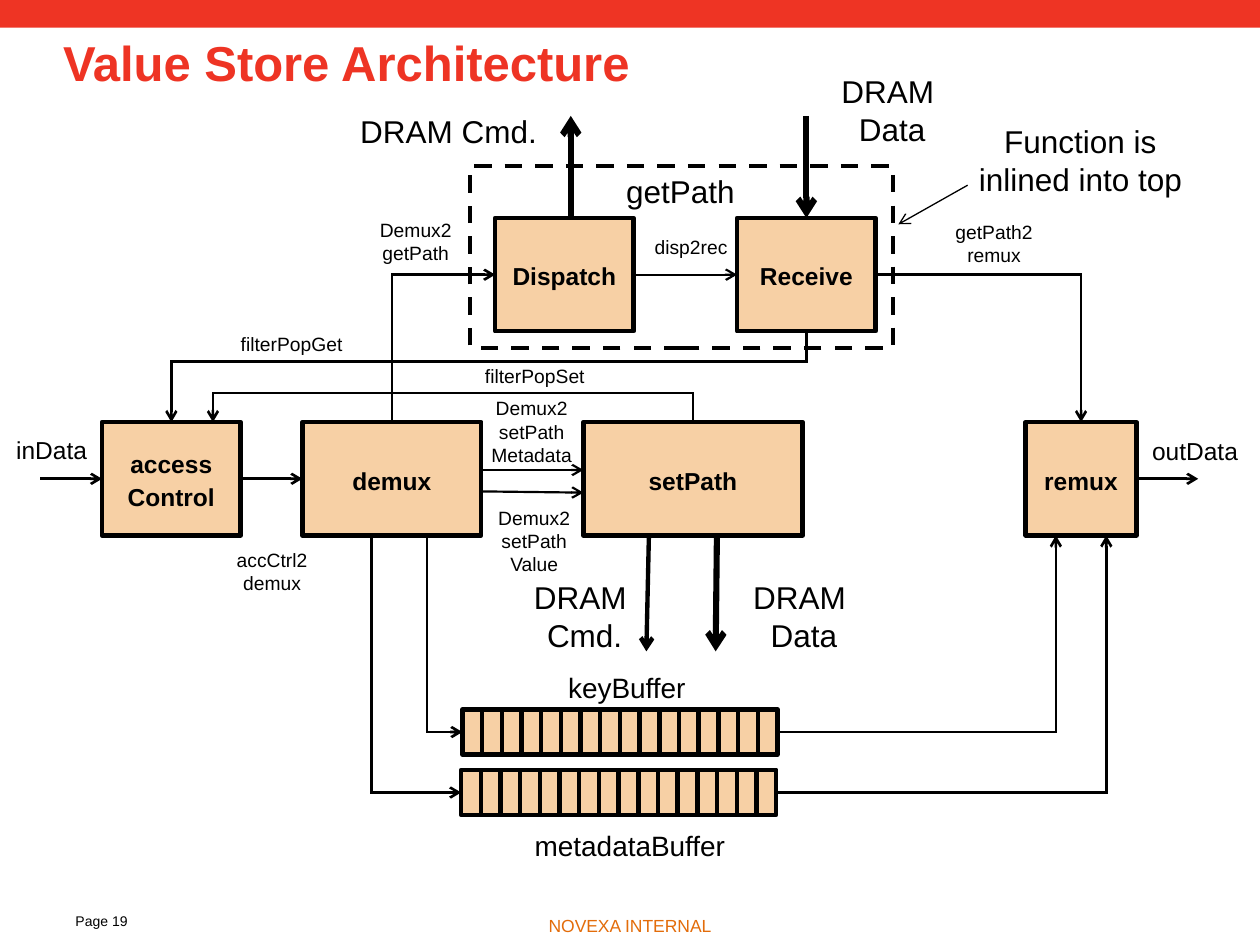
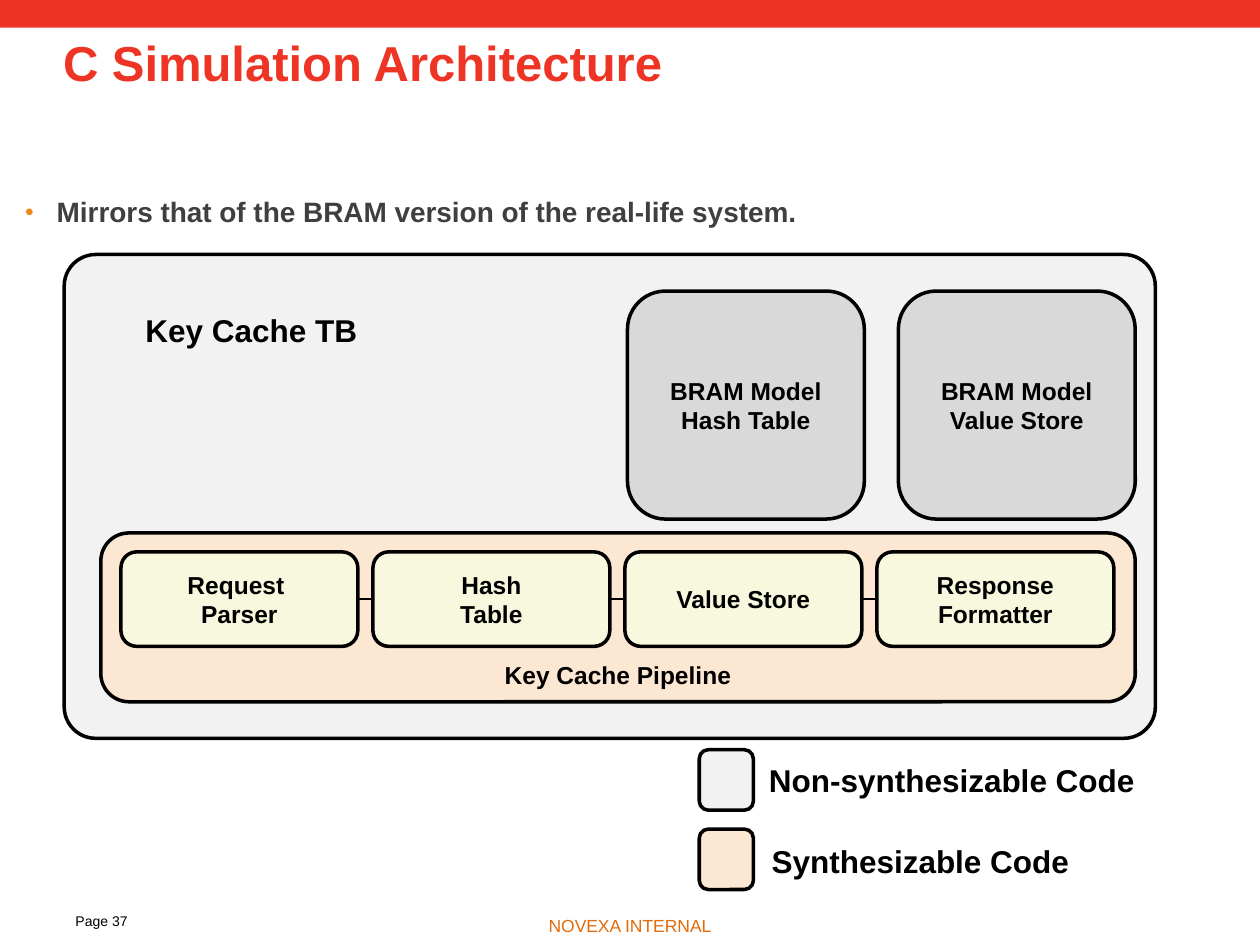
from dataclasses import dataclass
from itertools import pairwise
from typing import NamedTuple

from lxml.etree import SubElement
from pptx import Presentation
from pptx.dml.color import RGBColor
from pptx.enum.dml import MSO_LINE_DASH_STYLE as Dash
from pptx.enum.shapes import MSO_CONNECTOR as Conn, MSO_SHAPE as Geo
from pptx.enum.text import MSO_ANCHOR as Anchoring, MSO_AUTO_SIZE as AutoSize, PP_ALIGN as Align
from pptx.oxml.ns import qn
from pptx.util import Inches, Pt


@dataclass(frozen=True)
class Theme:
    font: str = "Arial"
    red: str = "EE3424"
    orange: str = "E36C0A"
    bullet: str = "EC891D"
    body: str = "3F3F3F"
    black: str = "000000"
    white: str = "FFFFFF"
    block: str = "F7D0A5"
    synthesizable: str = "FBE7D2"
    non_synthesizable: str = "F2F2F2"
    model: str = "D9D9D9"
    stage: str = "F7F8DD"
    title_size: int = 28
    large: int = 18
    medium: int = 16
    normal: int = 14
    small: int = 11
    footer_size: int = 10
    page_size: int = 8


THEME = Theme()
TOP, LEFT, BOTTOM, RIGHT = range(4)


class Area(NamedTuple):
    x: float
    y: float
    w: float
    h: float

    def emu(self) -> tuple:
        return tuple(Inches(v) for v in self)


class Box(NamedTuple):
    area: Area
    text: str = ""
    fill: str = THEME.block
    geo: int = Geo.RECTANGLE
    line: float = 2.5


class Label(NamedTuple):
    area: Area
    text: str
    size: int = THEME.small
    wrap: bool = True
    bold: bool = False


class Side(NamedTuple):
    """Middle of one side of a named shape."""
    name: str
    site: int


class Route(NamedTuple):
    """Points from start to end, each a Side or an (x, y) pair."""
    points: list
    width: float = 1.5
    arrow: bool = True


# ---- Drawing functions ----
def write(tf, text: str, size: float, color: str = THEME.black, bold: bool = False,
          align: int = Align.CENTER, spacing: float = 1.0, before: float = 0) -> None:
    for i, line in enumerate(text.split("\n")):
        p = tf.paragraphs[0] if i == 0 else tf.add_paragraph()
        p.alignment, p.line_spacing, p.space_before = align, spacing, Pt(before)
        r = p.add_run()
        r.text = line
        r.font.name, r.font.size, r.font.bold = THEME.font, Pt(size), bold
        r.font.color.rgb = RGBColor.from_string(color)


def add_box(slide, box: Box, spacing: float = 1.0, before: float = 0):
    s = slide.shapes.add_shape(box.geo, *box.area.emu())
    s.shadow.inherit = False
    s.fill.solid()
    s.fill.fore_color.rgb = RGBColor.from_string(box.fill)
    if box.line:
        s.line.color.rgb = RGBColor.from_string(THEME.black)
        s.line.width = Pt(box.line)
    else:
        s.line.fill.background()
    if box.text:
        s.text_frame.word_wrap = True
        s.text_frame.vertical_anchor = Anchoring.MIDDLE
        write(s.text_frame, box.text, THEME.normal, bold=True, spacing=spacing, before=before)
    return s


def add_label(slide, label: Label, color: str = THEME.black, align: int = Align.CENTER) -> None:
    tf = slide.shapes.add_textbox(*label.area.emu()).text_frame
    tf.word_wrap = label.wrap
    write(tf, label.text, label.size, color, label.bold, align)


def locate(point, named: dict) -> tuple:
    if not isinstance(point, Side):
        return Inches(point[0]), Inches(point[1])
    s = named[point.name]
    mid_x, mid_y = s.left + s.width // 2, s.top + s.height // 2
    return ((mid_x, s.top), (s.left, mid_y),
            (mid_x, s.top + s.height), (s.left + s.width, mid_y))[point.site]


def add_route(slide, route: Route, named: dict) -> None:
    legs = list(pairwise(route.points))
    for i, (start, end) in enumerate(legs):
        c = slide.shapes.add_connector(Conn.STRAIGHT, *locate(start, named), *locate(end, named))
        if isinstance(start, Side):
            c.begin_connect(named[start.name], start.site)
        if isinstance(end, Side):
            c.end_connect(named[end.name], end.site)
        c.line.color.rgb = RGBColor.from_string(THEME.black)
        c.line.width = Pt(route.width)
        sp_pr = c._element.spPr
        ln = sp_pr.find(qn("a:ln"))
        if len(legs) > 1:
            ln.set("cap", "sq")
        if route.arrow and i == len(legs) - 1:
            SubElement(ln, qn("a:tailEnd"), type="arrow")
        SubElement(sp_pr, qn("a:effectLst"))


def format_placeholder(sp, area: Area):
    sp.left, sp.top, sp.width, sp.height = area.emu()
    tf = sp.text_frame
    tf.margin_left, tf.margin_right = 0, Inches(0.1)
    tf.margin_top = tf.margin_bottom = Inches(0.05)
    tf.word_wrap, tf.auto_size = True, AutoSize.NONE
    tf.vertical_anchor = Anchoring.TOP
    return tf


def new_slide(prs, layout: int, title: str, page: int):
    """Slide with the shared band, title, footer and page number."""
    slide = prs.slides.add_slide(prs.slide_layouts[layout])
    add_box(slide, Box(Area(0, 0, 10, 0.22), fill=THEME.red, line=0))
    tf = format_placeholder(slide.shapes.title, Area(0.5, 0.23, 9, 0.65))
    write(tf, title, THEME.title_size, THEME.red, True, Align.LEFT, 0.98)
    add_label(slide, Label(Area(0, 7.21, 10, 0.32), "NOVEXA INTERNAL", THEME.footer_size),
              THEME.orange)
    add_label(slide, Label(Area(0.5, 7.19, 0.92, 0.27), f"Page {page}", THEME.page_size),
              align=Align.LEFT)
    return slide


# ---- Value Store Architecture ----
BLOCKS = {
    "access": Box(Area(0.81, 3.35, 1.1, 0.9), "access Control"),
    "demux": Box(Area(2.4, 3.35, 1.42, 0.9), "demux"),
    "setPath": Box(Area(4.63, 3.35, 1.74, 0.9), "setPath"),
    "remux": Box(Area(8.14, 3.35, 0.88, 0.9), "remux"),
    "dispatch": Box(Area(3.93, 1.73, 1.1, 0.9), "Dispatch"),
    "receive": Box(Area(5.85, 1.73, 1.1, 0.9), "Receive"),
}
BUFFERS = {"key": (3.67, 5.63), "metadata": (3.66, 6.11)}
BUFFER_WIDTH, BUFFER_HEIGHT, BUFFER_CELLS = 2.5, 0.36, 16

ROUTES = [
    # Main data flow
    Route([(0.32, 3.8), Side("access", LEFT)]),
    Route([Side("access", RIGHT), Side("demux", LEFT)]),
    Route([Side("demux", TOP), (3.11, 2.18), Side("dispatch", LEFT)]),
    Route([Side("dispatch", RIGHT), Side("receive", LEFT)], 1.25),
    Route([Side("receive", RIGHT), (8.58, 2.18), Side("remux", TOP)]),
    Route([Side("remux", RIGHT), (9.51, 3.8)]),
    Route([(3.82, 3.73), (4.63, 3.73)], 1.25),
    Route([(3.82, 3.9), (4.63, 3.91)], 1.25),
    # Feedback to access control
    Route([Side("receive", BOTTOM), (6.4, 2.87), (1.36, 2.87), Side("access", TOP)]),
    Route([Side("setPath", TOP), (5.5, 3.12), (1.69, 3.12), (1.69, 3.35)]),
    # Buffers
    Route([(3.39, 4.25), (3.39, 5.81), Side("key first", LEFT)]),
    Route([(2.95, 4.25), (2.95, 6.29), Side("metadata first", LEFT)]),
    Route([Side("key last", RIGHT), (8.38, 5.81), (8.38, 4.25)]),
    Route([Side("metadata last", RIGHT), (8.78, 6.29), (8.78, 4.25)]),
    # DRAM and callout
    Route([(4.53, 1.73), (4.53, 0.92)], 3.5),
    Route([(6.4, 0.92), Side("receive", TOP)], 3.5),
    Route([(5.15, 4.25), (5.13, 5.17)], 2.5),
    Route([(5.69, 4.25), (5.68, 5.17)], 3.5),
    Route([(7.68, 1.47), (7.13, 1.78)], 0.75),
]
LABELS = [
    Label(Area(2.72, 0.84, 1.68, 0.4), "DRAM Cmd.", THEME.large),
    Label(Area(6.57, 0.52, 1.02, 0.71), "DRAM \nData", THEME.large, False),
    Label(Area(5.87, 4.54, 1.02, 0.71), "DRAM \nData", THEME.large, False),
    Label(Area(4.13, 4.54, 1.02, 0.71), "DRAM \nCmd.", THEME.large, False),
    Label(Area(4.76, 1.32, 1.28, 0.4), "getPath", THEME.large),
    Label(Area(7.66, 0.92, 1.83, 0.71), "Function is inlined into top", THEME.large),
    Label(Area(4.4, 5.27, 1.15, 0.37), "keyBuffer", THEME.medium, False),
    Label(Area(4.13, 6.53, 1.74, 0.37), "metadataBuffer", THEME.medium, False),
    Label(Area(0, 3.4, 0.82, 0.34), "inData", THEME.normal),
    Label(Area(8.93, 3.41, 1.11, 0.34), "outData", THEME.normal),
    Label(Area(1.74, 4.3, 0.84, 0.47), "accCtrl2demux"),
    Label(Area(3.69, 2.84, 1.11, 0.29), "filterPopSet"),
    Label(Area(1.76, 2.59, 1.11, 0.29), "filterPopGet"),
    Label(Area(3.8, 3.1, 0.84, 0.66), "Demux2\nsetPath\nMetadata"),
    Label(Area(3.82, 3.97, 0.84, 0.66), "Demux2\nsetPath\nValue"),
    Label(Area(2.88, 1.68, 0.84, 0.47), "Demux2\ngetPath"),
    Label(Area(7.47, 1.7, 0.84, 0.47), "getPath2remux"),
    Label(Area(4.93, 1.82, 1.11, 0.29), "disp2rec"),
]


def build_value_store(prs) -> None:
    slide = new_slide(prs, 5, "Value Store Architecture", 19)
    outline = add_box(slide, Box(Area(3.73, 1.32, 3.36, 1.44), fill=THEME.white))
    outline.line.dash_style = Dash.DASH
    named = {name: add_box(slide, box, 1.1, 2.8) for name, box in BLOCKS.items()}
    pitch = BUFFER_WIDTH / BUFFER_CELLS
    for name, (x, y) in BUFFERS.items():
        cells = [add_box(slide, Box(Area(x + i * pitch, y, pitch, BUFFER_HEIGHT)))
                 for i in range(BUFFER_CELLS)]
        named[f"{name} first"], named[f"{name} last"] = cells[0], cells[-1]
    for route in ROUTES:
        add_route(slide, route, named)
    for label in LABELS:
        add_label(slide, label)


# ---- C Simulation Architecture ----
STAGES = ["Request \nParser", "Hash\nTable", "Value Store", "Response Formatter"]
MODELS = {4.98: "BRAM Model Hash Table", 7.13: "BRAM Model Value Store"}
LEGEND = {5.95: THEME.non_synthesizable, 6.58: THEME.synthesizable}
SIMULATION_LABELS = [
    Label(Area(0.97, 2.42, 2.05, 0.4), "Key Cache TB", THEME.large, False, True),
    Label(Area(3.84, 5.19, 2.13, 0.34), "Key Cache Pipeline", THEME.normal, False, True),
    Label(Area(5.99, 5.99, 3.13, 0.4), "Non-synthesizable Code", THEME.large, False, True),
    Label(Area(6.01, 6.63, 2.59, 0.4), "Synthesizable Code", THEME.large, False, True),
]


def rounded(slide, area: Area, fill: str, text: str = ""):
    return add_box(slide, Box(area, text, fill, Geo.ROUNDED_RECTANGLE, 2))


def add_bullet(p) -> None:
    p_pr = p._p.get_or_add_pPr()
    p_pr.set("marL", str(Inches(0.25)))
    p_pr.set("indent", str(-Inches(0.25)))
    SubElement(SubElement(p_pr, qn("a:buClr")), qn("a:srgbClr"), val=THEME.bullet)
    SubElement(p_pr, qn("a:buSzPct"), val="88000")
    SubElement(p_pr, qn("a:buFont"), typeface=THEME.font)
    SubElement(p_pr, qn("a:buChar"), char="•")


def build_simulation(prs) -> None:
    slide = new_slide(prs, 1, "C Simulation Architecture", 37)
    tf = format_placeholder(slide.placeholders[1], Area(0.2, 1.47, 9.45, 0.39))
    write(tf, "Mirrors that of the BRAM version of the real-life system.",
          THEME.medium, THEME.body, True, Align.LEFT, 1.1, 3.2)
    add_bullet(tf.paragraphs[0])

    # Test bench and pipeline
    bench = rounded(slide, Area(0.51, 2.02, 8.66, 3.84), THEME.non_synthesizable)
    bench.adjustments[0] = 0.065
    rounded(slide, Area(0.8, 4.23, 8.21, 1.34), THEME.synthesizable)
    named = {text: rounded(slide, Area(0.96 + 2 * i, 4.38, 1.88, 0.75), THEME.stage, text)
             for i, text in enumerate(STAGES)}
    for a, b in pairwise(STAGES):
        add_route(slide, Route([Side(a, RIGHT), Side(b, LEFT)], 1, False), named)
    for x, text in MODELS.items():
        rounded(slide, Area(x, 2.31, 1.88, 1.81), THEME.model, text)

    # Legend and labels
    for y, fill in LEGEND.items():
        rounded(slide, Area(5.55, y, 0.43, 0.48), fill)
    for label in SIMULATION_LABELS:
        add_label(slide, label)


def main() -> None:
    prs = Presentation()
    prs.slide_width, prs.slide_height = Inches(10), Inches(7.5)
    build_value_store(prs)
    build_simulation(prs)
    prs.save("out.pptx")


if __name__ == "__main__":
    main()
